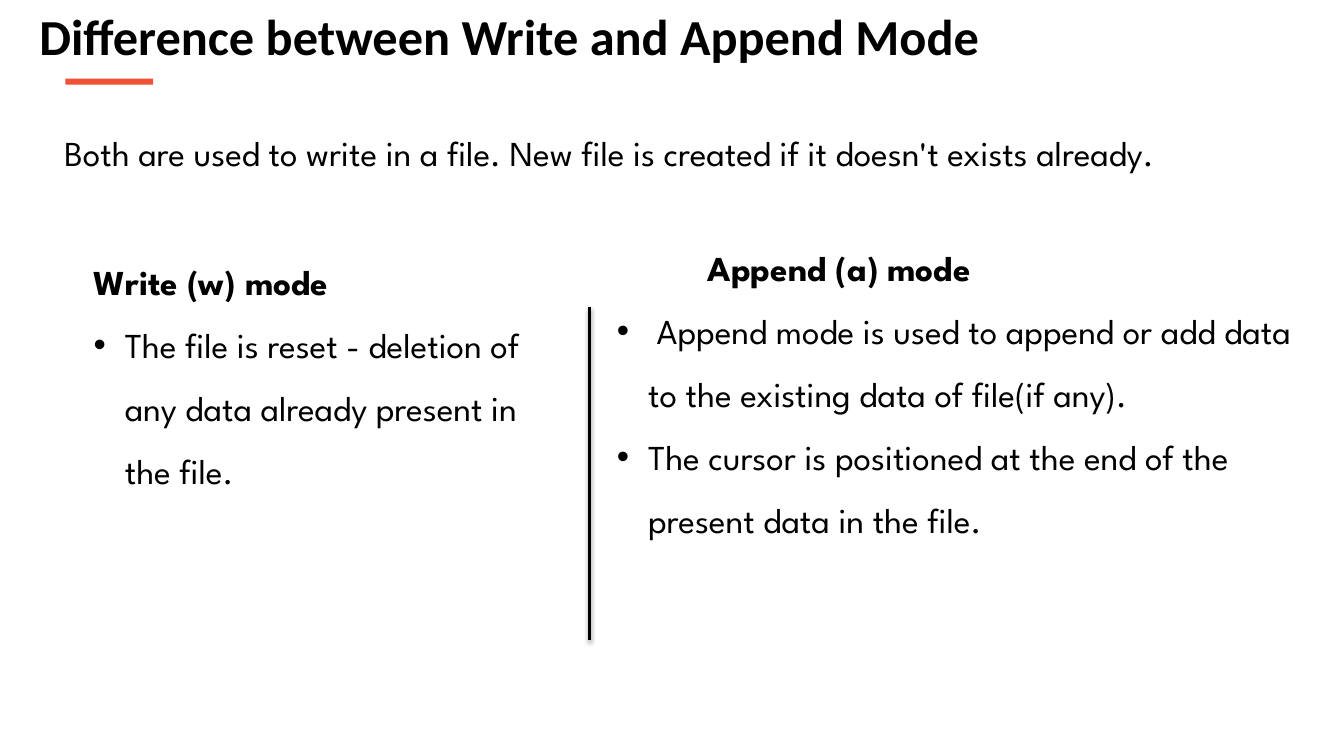
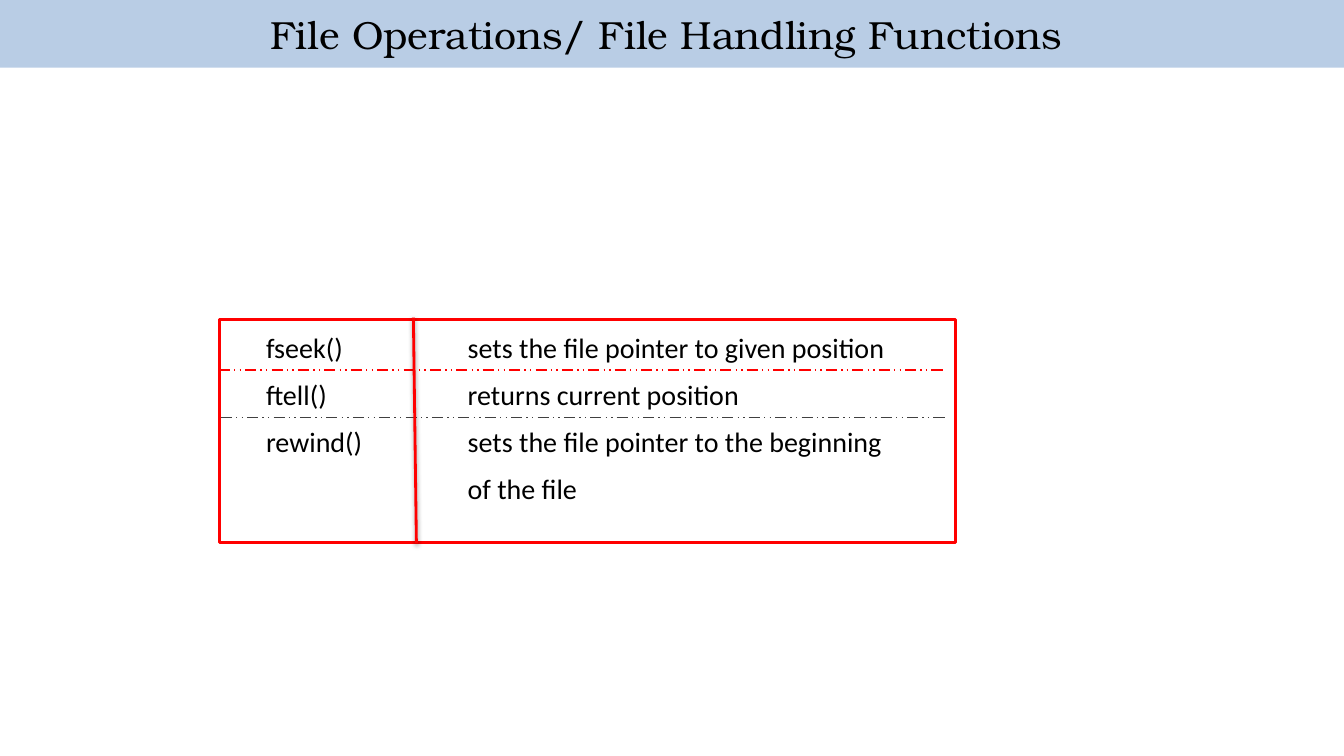
from lxml.etree import SubElement
from pptx import Presentation
from pptx.dml.color import RGBColor
from pptx.enum.dml import MSO_LINE
from pptx.enum.shapes import MSO_CONNECTOR, MSO_SHAPE
from pptx.enum.text import MSO_ANCHOR, MSO_AUTO_SIZE, PP_ALIGN
from pptx.oxml.ns import qn
from pptx.util import Pt

PX = 9144
BLACK, RED, GREY = "000000", "FF0000", "404040"
ORANGE, PALE_BLUE = "F05136", "B9CDE5"
BODY, HEADING, BAND = "League Spartan", "Calibri", "TeX Gyre Bonum"


def color(value):
    return RGBColor.from_string(value)


def scaled(*lengths):
    return [length * PX for length in lengths]


class Deck:
    def __init__(self):
        self.presentation = Presentation()
        self.presentation.slide_width, self.presentation.slide_height = scaled(1333, 750)
        self.slide = None

    def style(self, paragraph, font, size, bold=False, spacing=None):
        paragraph.font.name = font
        paragraph.font.size = Pt(size)
        paragraph.font.bold = bold
        paragraph.font.color.rgb = color(BLACK)
        if spacing:
            paragraph.line_spacing = spacing

    def add_slide(self, title, box, font, size, bold=False, align=PP_ALIGN.LEFT, fill=None):
        self.slide = self.presentation.slides.add_slide(self.presentation.slide_layouts[5])
        shape = self.slide.shapes.title
        shape.left, shape.top, shape.width, shape.height = scaled(*box)
        if fill:
            shape.fill.solid()
            shape.fill.fore_color.rgb = color(fill)
        frame = shape.text_frame
        frame.text = title
        frame.auto_size = MSO_AUTO_SIZE.NONE
        frame.vertical_anchor = MSO_ANCHOR.MIDDLE
        paragraph = frame.paragraphs[0]
        paragraph.alignment = align
        self.style(paragraph, font, size, bold)

    def rectangle(self, box, fill=None, line=None, width=2):
        shape = self.slide.shapes.add_shape(MSO_SHAPE.RECTANGLE, *scaled(*box))
        shape.shadow.inherit = False
        if fill:
            shape.fill.solid()
            shape.fill.fore_color.rgb = color(fill)
        else:
            shape.fill.background()
        if line:
            shape.line.color.rgb = color(line)
            shape.line.width = Pt(width)
        else:
            shape.line.fill.background()

    def line(self, start, end, stroke, width, dash=None, shadow=False):
        connector = self.slide.shapes.add_connector(
            MSO_CONNECTOR.STRAIGHT, *scaled(*start, *end))
        connector.line.color.rgb = color(stroke)
        connector.line.width = Pt(width)
        if dash:
            connector.line.dash_style = dash
        effects = SubElement(connector.element.spPr, qn("a:effectLst"))
        if shadow:
            outer = SubElement(effects, qn("a:outerShdw"), blurRad="40000", dist="20000",
                               dir="5400000", rotWithShape="0")
            shade = SubElement(outer, qn("a:srgbClr"), val=BLACK)
            SubElement(shade, qn("a:alpha"), val="38000")

    def text(self, box, lines, font, size, spacing, hanging=0):
        frame = self.slide.shapes.add_textbox(*scaled(*box)).text_frame
        frame.word_wrap = True
        for index, line in enumerate(lines):
            paragraph = frame.paragraphs[0] if index == 0 else frame.add_paragraph()
            paragraph.text = line
            self.style(paragraph, font, size, spacing=spacing)
            if hanging:
                self.indent(paragraph, hanging, -hanging)
        return frame.paragraphs

    def indent(self, paragraph, left, first=0):
        properties = paragraph._p.get_or_add_pPr()
        properties.set("marL", str(left * PX))
        properties.set("indent", str(first * PX))

    def mode_column(self, box, heading, points, heading_indent=0):
        paragraphs = self.text(box, [heading, *points], BODY, 25, 1.5)
        paragraphs[0].font.bold = True
        self.indent(paragraphs[0], heading_indent)
        for paragraph in paragraphs[1:]:
            self.indent(paragraph, 31, -31)
            properties = paragraph._p.get_or_add_pPr()
            bullet_font = properties.makeelement(qn("a:buFont"), {"typeface": "Arial"})
            bullet = properties.makeelement(qn("a:buChar"), {"char": "•"})
            properties.find(qn("a:defRPr")).addprevious(bullet_font)
            bullet_font.addnext(bullet)


def modes_slide(deck):
    deck.add_slide("Difference between Write and Append Mode", (29, 0, 1276, 71),
                   HEADING, 36, bold=True)
    deck.rectangle((65, 78, 87, 6), fill=ORANGE)
    deck.line((585, 305), (585, 635), BLACK, 2.25, shadow=True)
    deck.mode_column((83, 233, 473, 257), "Write (w) mode", [
        "The file is reset - deletion of any data already present in the file."])
    deck.mode_column((602, 219, 693, 320), "Append (a) mode", [
        " Append mode is used to append or add data to the existing data of file(if any).",
        "The cursor is positioned at the end of the present data in the file."],
        heading_indent=90)
    deck.text((54, 113, 1203, 65), [
        "Both are used to write in a file. New file is created if it doesn't exists already."],
        BODY, 25, 1.3)


def functions_slide(deck):
    deck.add_slide("File Operations/ File Handling Functions ", (0, 0, 1333, 67),
                   BAND, 28, align=PP_ALIGN.CENTER, fill=PALE_BLUE)
    deck.text((254, 310, 682, 246), [
        "fseek()\tsets the file pointer to given position",
        "ftell()\treturns current position",
        "rewind()\tsets the file pointer to the beginning\vof the file"],
        HEADING, 20, 1.4, hanging=200)
    deck.rectangle((218, 317, 730, 221), line=RED)
    for left, top, stroke in ((217, 367, RED), (219, 414, GREY)):
        deck.line((left, top), (left + 718, top), stroke, 1, MSO_LINE.DASH_DOT_DOT)
    deck.line((413, 539), (410, 315), RED, 2, shadow=True)


def main():
    deck = Deck()
    modes_slide(deck)
    functions_slide(deck)
    deck.presentation.save("out.pptx")


if __name__ == "__main__":
    main()
